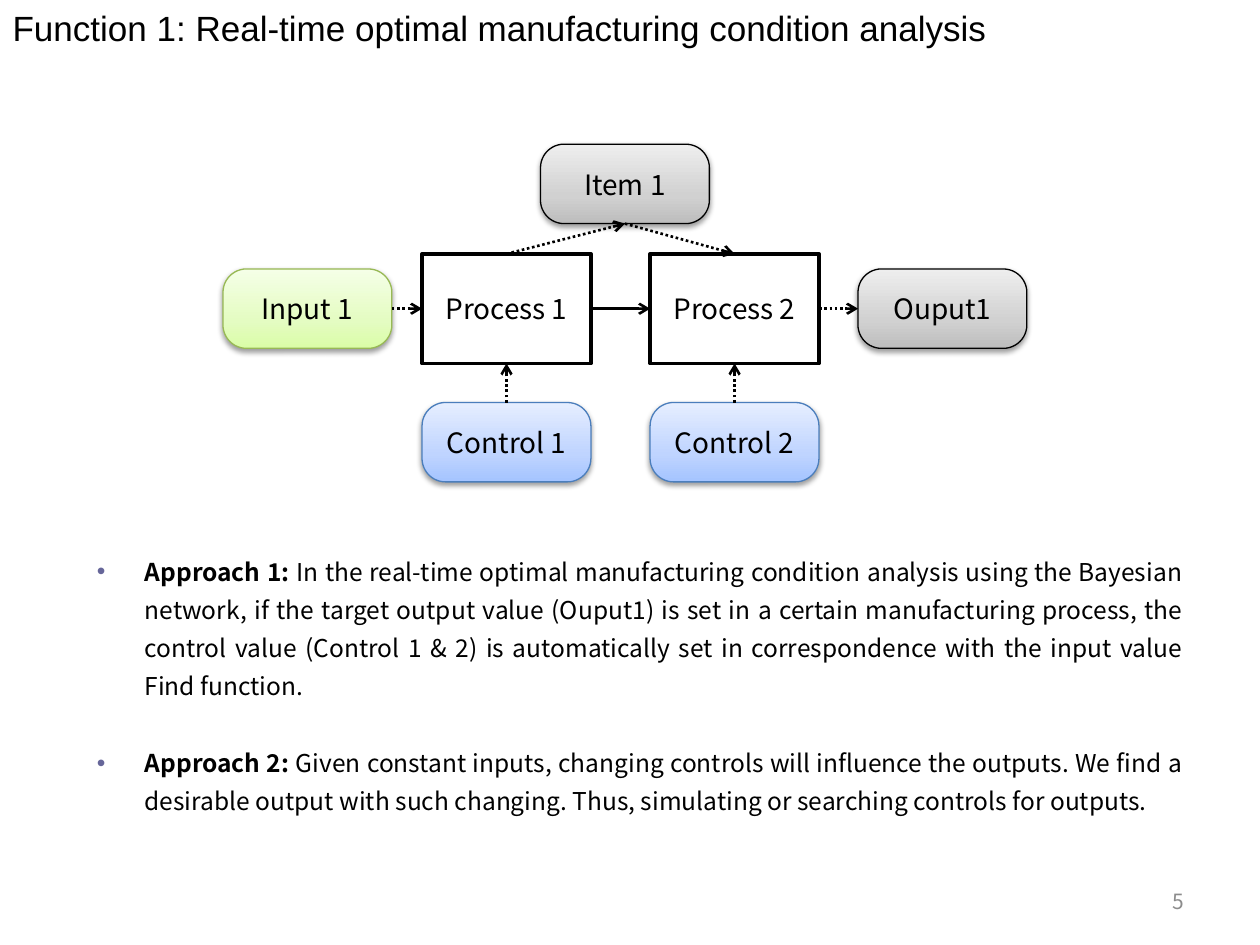
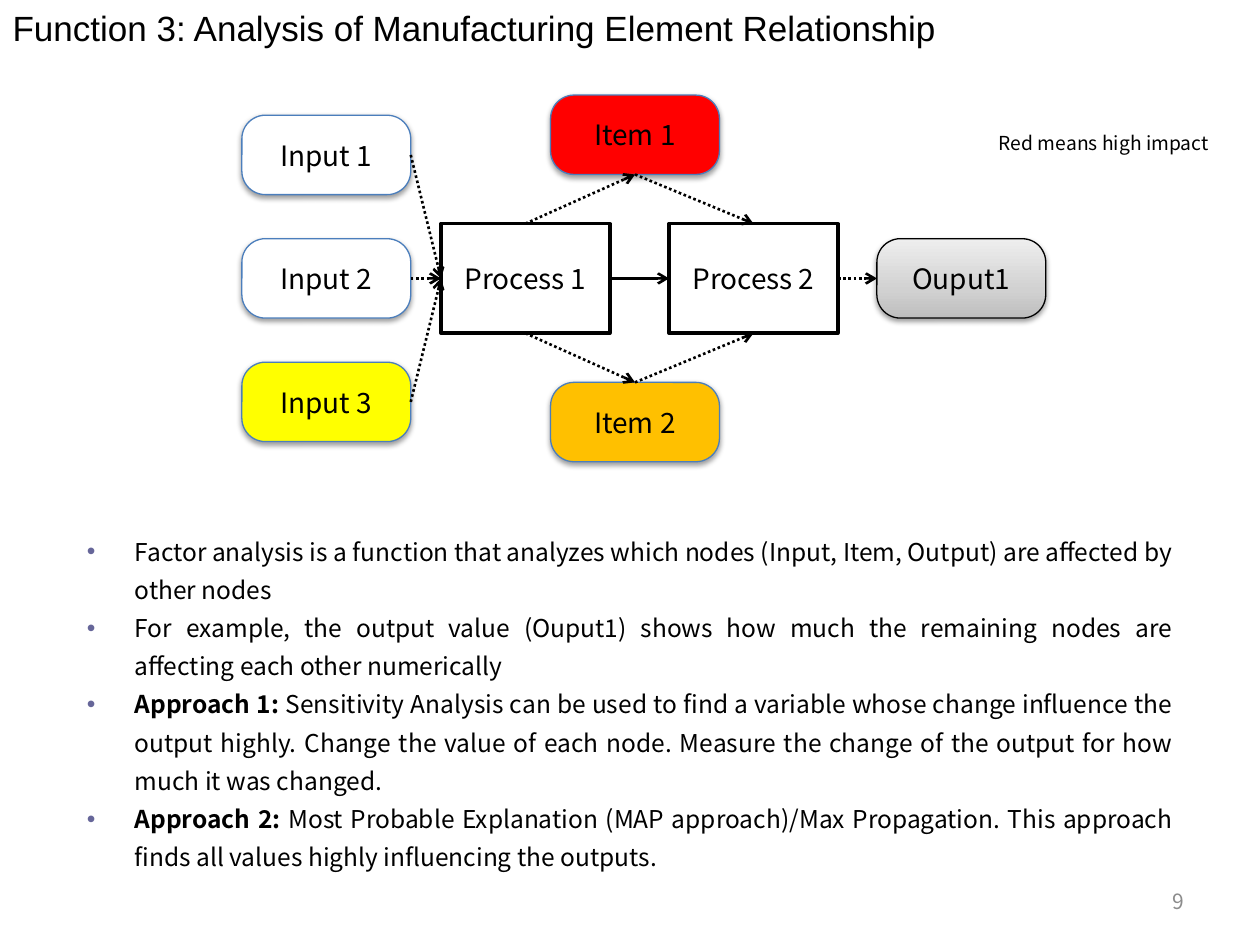
from lxml import etree
from pptx import Presentation
from pptx.dml.color import RGBColor
from pptx.enum.dml import MSO_LINE
from pptx.enum.shapes import MSO_CONNECTOR, MSO_SHAPE
from pptx.enum.text import MSO_ANCHOR, MSO_AUTO_SIZE, PP_ALIGN
from pptx.oxml.ns import qn
from pptx.util import Inches, Pt

LEFT, CENTER, RIGHT, JUSTIFY = PP_ALIGN.LEFT, PP_ALIGN.CENTER, PP_ALIGN.RIGHT, PP_ALIGN.JUSTIFY
ANCHOR_TOP, ANCHOR_MIDDLE = MSO_ANCHOR.TOP, MSO_ANCHOR.MIDDLE
NO_FIT = MSO_AUTO_SIZE.NONE
RECT, ROUNDED = MSO_SHAPE.RECTANGLE, MSO_SHAPE.ROUNDED_RECTANGLE
STRAIGHT, DOTTED = MSO_CONNECTOR.STRAIGHT, MSO_LINE.ROUND_DOT
TOP, WEST, BOTTOM, EAST = range(4)

# Content: nodes are (name, style, column, row offset from the process row)
COLUMNS = {"input": -1.58, "process 1": 0, "process 2": 1.81, "output": 3.46}
PROCESS_NODES = [
    ("Process 1", "process", "process 1", 0),
    ("Process 2", "process", "process 2", 0),
    ("Ouput1", "grey", "output", 0),
]
PROCESS_LINKS = [
    ("Process 1", EAST, "Process 2", WEST, False),
    ("Process 2", EAST, "Ouput1", WEST, True),
]
ITEM_LINKS = [
    ("Process 1", TOP, "Item 1", BOTTOM, True),
    ("Item 1", BOTTOM, "Process 2", TOP, True),
]
SLIDES = [
    {
        "title": "Function 1: Real-time optimal manufacturing condition analysis",
        "number": "5",
        "origin": (4.02, 2.45),
        "columns": {"item": 0.94},
        "nodes": [
            ("Input 1", "green", "input", 0),
            ("Item 1", "grey", "item", -0.99),
            ("Control 1", "blue", "process 1", 1.06),
            ("Control 2", "blue", "process 2", 1.06),
        ],
        "links": [
            ("Input 1", EAST, "Process 1", WEST, True),
            ("Control 1", TOP, "Process 1", BOTTOM, True),
            ("Control 2", TOP, "Process 2", BOTTOM, True),
        ],
        "body_at": (0.67, 4.3),
        "gap": 22,
        "body": [
            ("Approach 1:", " In the real-time optimal manufacturing condition analysis using the "
             "Bayesian network, if the target output value (Ouput1) is set in a certain "
             "manufacturing process, the control value (Control 1 & 2) is automatically set in "
             "correspondence with the input value Find function."),
            ("Approach 2:", " Given constant inputs, changing controls will influence the outputs. "
             "We find a desirable output with such changing. Thus, simulating or searching "
             "controls for outputs."),
        ],
    },
    {
        "title": "Function 3: Analysis of Manufacturing Element Relationship",
        "number": "9",
        "origin": (4.17, 2.21),
        "columns": {"item": 0.87},
        "nodes": [
            ("Input 1", "white", "input", -0.98),
            ("Input 2", "white", "input", 0),
            ("Input 3", "yellow", "input", 0.98),
            ("Item 1", "red", "item", -1.14),
            ("Item 2", "orange", "item", 1.14),
        ],
        "links": [
            *((f"Input {i}", EAST, "Process 1", WEST, True) for i in (1, 2, 3)),
            ("Process 1", BOTTOM, "Item 2", TOP, True),
            ("Item 2", TOP, "Process 2", BOTTOM, True),
        ],
        "body_at": (0.59, 4.14),
        "gap": 0,
        "body": [
            ("", "Factor analysis is a function that analyzes which nodes (Input, Item, Output) "
             "are affected by other nodes"),
            ("", "For example, the output value (Ouput1) shows how much the remaining nodes are "
             "affecting each other numerically"),
            ("Approach 1:", " Sensitivity Analysis can be used to find a variable whose change "
             "influence the output highly. Change the value of each node. Measure the change of "
             "the output for how much it was changed."),
            ("Approach 2:", " Most Probable Explanation (MAP approach)/Max Propagation. This "
             "approach finds all values highly influencing the outputs."),
        ],
        "note": "Red means high impact",
    },
]

THEME = {
    "black": "000000", "muted": "8C8C8C", "bullet": "666699",
    "heading": "Arial", "text": "Noto Sans CJK KR",
    "title_pt": 20, "node_pt": 16, "body_pt": 14, "number_pt": 12, "note_pt": 11,
    "arrow_pt": 1.5, "thin_pt": 0.75, "process_pt": 2,
}
STYLES = {  # fill colours (three make a gradient from bottom to top), line colour
    "process": (["FFFFFF"], "000000"),
    "green": (["DAFDA7", "E4FCC2", "F5FFE7"], "98B955"),
    "grey": (["BDBDBD", "D1D1D1", "EEEEEE"], "000000"),
    "blue": (["A4C4FF", "BFD4FF", "E6EEFF"], "4B7EBC"),
    "white": (["FFFFFF"], "4B7EBC"),
    "yellow": (["FFFF00"], "4B7EBC"),
    "red": (["FF0000"], "4B7EBC"),
    "orange": (["FFC000"], "4B7EBC"),
}
GRADIENT_STOPS = (0, 35000, 100000)
PROCESS_SIZE, NODE_SIZE = (1.34, 0.87), (1.34, 0.63)


def rgb(name):
    return RGBColor.from_string(THEME.get(name, name))


def add_xml(parent, tag, **attrs):
    return etree.SubElement(parent, qn(tag), {k: str(v) for k, v in attrs.items()})


def add_run(p, text, size, color="black", font="text", bold=False):
    r = p.add_run()
    r.text = text
    r.font.color.rgb = rgb(color)
    for key, value in {"size": Pt(THEME[size]), "name": THEME[font], "bold": bold}.items():
        setattr(r.font, key, value)


def add_text_box(s, box, anchor=ANCHOR_TOP, wrap=True):
    tf = s.shapes.add_textbox(*map(Inches, box)).text_frame
    tf.word_wrap, tf.vertical_anchor = wrap, anchor
    return tf


def add_title(s, text):
    sp = s.shapes.title
    box = {"left": 0, "top": 0, "width": 8.9, "height": 0.44}
    for key, value in box.items():
        setattr(sp, key, Inches(value))
    tf = sp.text_frame
    tf.auto_size, tf.vertical_anchor = NO_FIT, ANCHOR_TOP
    p = tf.paragraphs[0]
    p.alignment = LEFT
    add_run(p, text, "title_pt", font="heading")


def paint(sp, colors):
    """Fill with one colour, or with a bottom-to-top gradient."""
    if len(colors) == 1:
        sp.fill.solid()
        sp.fill.fore_color.rgb = rgb(colors[0])
        return
    sp.fill.gradient()
    fill = sp._element.spPr.find(qn("a:gradFill"))
    for child in list(fill):
        fill.remove(child)
    stops = add_xml(fill, "a:gsLst")
    for pos, color in zip(GRADIENT_STOPS, colors):
        add_xml(add_xml(stops, "a:gs", pos=pos), "a:srgbClr", val=color)
    add_xml(fill, "a:lin", ang=270 * 60000, scaled=0)


def add_node(s, name, style, x, y):
    """Add a process box or a rounded node centred on x, y."""
    is_process = style == "process"
    w, h = PROCESS_SIZE if is_process else NODE_SIZE
    sp = s.shapes.add_shape(RECT if is_process else ROUNDED,
                            *map(Inches, (x - w / 2, y - h / 2, w, h)))
    colors, line = STYLES[style]
    paint(sp, colors)
    sp.line.color.rgb = rgb(line)
    sp.line.width = Pt(THEME["process_pt" if is_process else "thin_pt"])
    sp.shadow.inherit = False
    spPr = sp._element.spPr
    if is_process:
        add_xml(spPr.find(qn("a:solidFill"))[0], "a:alpha", val=58000)
    else:
        sp.adjustments[0] = 0.296
        shadow = add_xml(spPr.find(qn("a:effectLst")), "a:outerShdw", blurRad=Pt(3.1),
                         dist=Pt(1.6), dir=90 * 60000, rotWithShape=0)
        add_xml(add_xml(shadow, "a:srgbClr", val=THEME["black"]), "a:alpha", val=38000)
    tf = sp.text_frame
    tf.vertical_anchor = ANCHOR_MIDDLE
    p = tf.paragraphs[0]
    p.alignment = CENTER
    add_run(p, name, "node_pt")
    return sp


def add_arrow(s, start, start_side, end, end_side, dotted):
    c = s.shapes.add_connector(STRAIGHT, 0, 0, 0, 0)
    c.begin_connect(start, start_side)
    c.end_connect(end, end_side)
    c.line.color.rgb = rgb("black")
    c.line.width = Pt(THEME["arrow_pt"])
    if dotted:
        c.line.dash_style = DOTTED
    spPr = c._element.spPr
    add_xml(spPr.find(qn("a:ln")), "a:tailEnd", type="arrow")
    add_xml(spPr, "a:effectLst")


def add_diagram(s, data):
    x0, y0 = data["origin"]
    columns = COLUMNS | data["columns"]
    nodes = {name: add_node(s, name, style, x0 + columns[column], y0 + dy)
             for name, style, column, dy in PROCESS_NODES + data["nodes"]}
    for start, start_side, end, end_side, dotted in PROCESS_LINKS + ITEM_LINKS + data["links"]:
        add_arrow(s, nodes[start], start_side, nodes[end], end_side, dotted)


def add_body(s, data):
    tf = add_text_box(s, (*data["body_at"], 8.82, 0.99))
    for i, (lead, text) in enumerate(data["body"]):
        p = tf.add_paragraph() if i else tf.paragraphs[0]
        p.alignment, p.line_spacing = JUSTIFY, 1.3
        p.space_before = Pt(data["gap"] if i else 0)
        pPr = p._p.get_or_add_pPr()
        pPr.set("marL", str(Inches(0.38)))
        pPr.set("indent", str(-Inches(0.38)))
        add_xml(add_xml(pPr, "a:buClr"), "a:srgbClr", val=THEME["bullet"])
        add_xml(pPr, "a:buFont", typeface=THEME["heading"])
        add_xml(pPr, "a:buChar", char="•")
        if lead:
            add_run(p, lead, "body_pt", bold=True)
        add_run(p, text, "body_pt")


def add_number(s, number):
    p = add_text_box(s, (7.17, 6.95, 2.33, 0.4), ANCHOR_MIDDLE).paragraphs[0]
    p.alignment = RIGHT
    add_run(p, number, "number_pt", "muted")


def main():
    prs = Presentation()
    prs.slide_width, prs.slide_height = Inches(10), Inches(7.5)
    title_only = prs.slide_layouts[5]
    for data in SLIDES:
        s = prs.slides.add_slide(title_only)
        add_title(s, data["title"])
        add_diagram(s, data)
        add_body(s, data)
        add_number(s, data["number"])
        if "note" in data:
            tf = add_text_box(s, (7.83, 0.99, 1.87, 0.29), wrap=False)
            add_run(tf.paragraphs[0], data["note"], "note_pt")
    prs.save("out.pptx")


if __name__ == "__main__":
    main()
